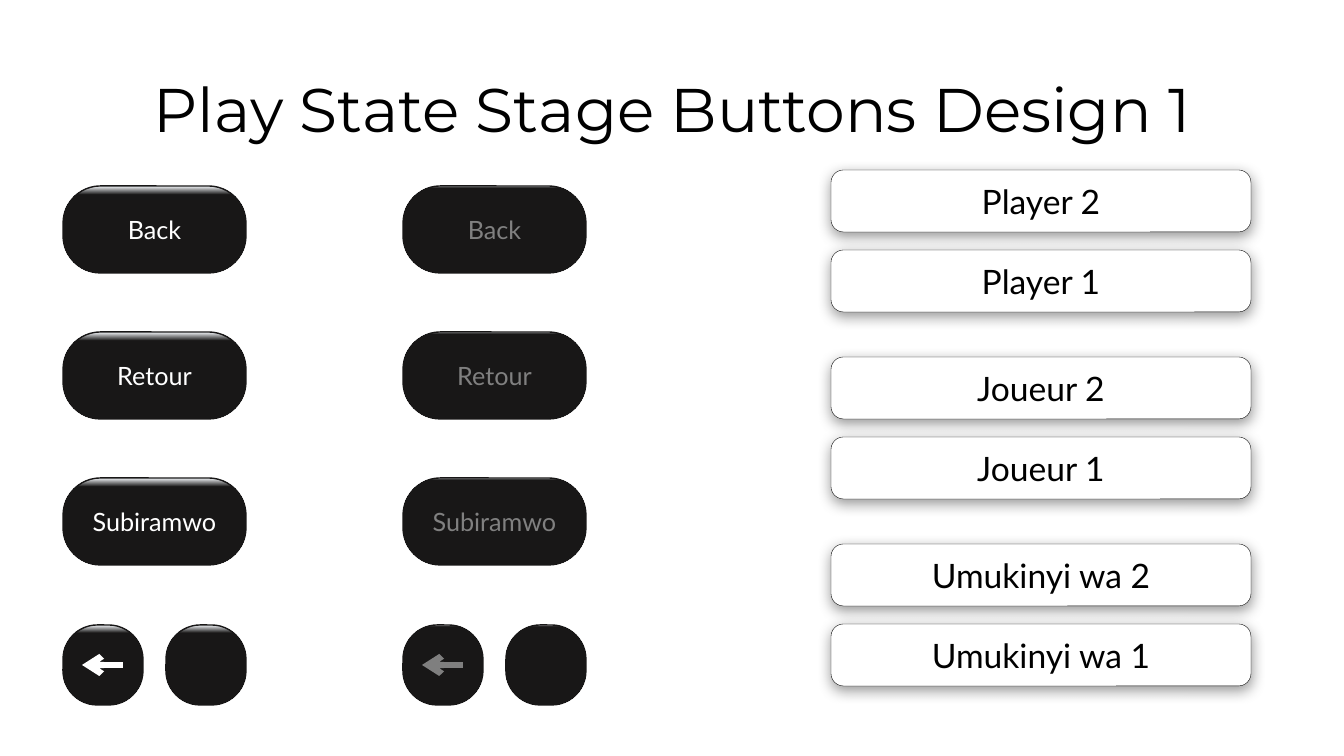
from pptx import Presentation
from pptx.dml.color import RGBColor
from pptx.enum.shapes import MSO_CONNECTOR, MSO_SHAPE
from pptx.enum.text import MSO_ANCHOR, PP_ALIGN
from pptx.oxml import parse_xml
from pptx.oxml.ns import nsdecls, qn
from pptx.util import Inches, Pt

ROUNDED = MSO_SHAPE.ROUNDED_RECTANGLE
STRAIGHT = MSO_CONNECTOR.STRAIGHT
MIDDLE = MSO_ANCHOR.MIDDLE
CENTER = PP_ALIGN.CENTER

EMU_PER_PX = Inches(1) / 100.8
TITLE_ONLY = 5
BLACK, WHITE, GREY = "000000", "FFFFFF", "808080"
INK, GLOSS = "181717", "F7FAFD"

# left edge, depth of the gloss, label colour, arrow colour
BUTTON_STATES = [(63, 0.10, WHITE, WHITE), (403, 0.02, GREY, "7F7F7F")]
BACK_LABELS = ["Back", "Retour", "Subiramwo"]
PLAYER_WORDS = ["Player", "Joueur", "Umukinyi wa"]
BUTTON_TOP, BUTTON_PITCH, BUTTON_SIZE = 186, 146, (183, 87)
ICON_TOP, ICON_SIDE, ICON_PITCH = 625, 80, 103
PLAYER_LEFT, PLAYER_TOP, PLAYER_SIZE = 831, 170, (424 - 4, 62)
PLAYER_GROUP_PITCH, PLAYER_PITCH = 187, 80


def px(length):
    """Turn pixels into EMU."""
    return round(length * EMU_PER_PX)


def rgb(value):
    """Turn a hex string into a colour."""
    return RGBColor.from_string(value)


def write(frame, text, size, color, font="Lato"):
    """Write one centred line in the middle of a text frame."""
    frame.word_wrap = True
    frame.vertical_anchor = MIDDLE
    paragraph = frame.paragraphs[0]
    paragraph.alignment = CENTER
    run = paragraph.add_run()
    run.text = text
    run.font.size = Pt(size)
    run.font.name = font
    run.font.color.rgb = rgb(color)
    return paragraph


def add_title(slide, text):
    """Place and fill the title placeholder."""
    title = slide.shapes.title
    title.left, title.top, title.width, title.height = map(px, (93, 40, 1159, 146))
    write(title.text_frame, text, 44, BLACK, "Montserrat").line_spacing = 0.9


def add_rounded(slide, left, top, size, rounding, outline, weight):
    """Add an outlined rounded rectangle without a shadow."""
    button = slide.shapes.add_shape(ROUNDED, *map(px, (left, top, *size)))
    button.adjustments[0] = rounding
    button.line.color.rgb = rgb(outline)
    button.line.width = Pt(weight)
    button.shadow.inherit = False
    return button


def add_glossy_button(slide, left, top, size, gloss_depth):
    """Add a dark button with a bright upper edge."""
    button = add_rounded(slide, left, top, size, 0.43, INK, 1)
    button.fill.gradient()
    button.fill.gradient_angle = 270
    stops = button.fill.gradient_stops
    for stop, position, color in zip(stops, (0, gloss_depth), (GLOSS, INK)):
        stop.position = position
        stop.color.rgb = rgb(color)
    return button


def add_player_button(slide, top, label):
    """Add a white player button with a soft shadow below."""
    button = add_rounded(slide, PLAYER_LEFT, top, PLAYER_SIZE, 0.2, BLACK, 0.25)
    button.fill.solid()
    button.fill.fore_color.rgb = rgb(WHITE)
    button.element.spPr.find(qn("a:effectLst")).append(parse_xml(
        f'<a:outerShdw {nsdecls("a")} blurRad="{Pt(10)}" dist="{Pt(3)}" '
        f'dir="5400000" algn="t" rotWithShape="0"><a:srgbClr val="{BLACK}">'
        '<a:alpha val="40000"/></a:srgbClr></a:outerShdw>'))
    write(button.text_frame, label, 24, BLACK)


def add_back_arrow(slide, left, middle, length, color):
    """Add a thick arrow that points left."""
    arrow = slide.shapes.add_connector(
        STRAIGHT, *map(px, (left, middle, left + length, middle)))
    arrow.line.color.rgb = rgb(color)
    arrow.line.width = Pt(4.5)
    properties = arrow.element.spPr
    properties.find(qn("a:ln")).append(
        parse_xml(f'<a:headEnd {nsdecls("a")} type="arrow"/>'))
    properties.append(parse_xml(f'<a:effectLst {nsdecls("a")}/>'))


def add_back_buttons(slide, left, gloss_depth, label_color, arrow_color):
    """Add one column of back buttons and its two icon buttons."""
    for row, label in enumerate(BACK_LABELS):
        top = BUTTON_TOP + row * BUTTON_PITCH
        button = add_glossy_button(slide, left, top, BUTTON_SIZE, gloss_depth)
        write(button.text_frame, label, 18, label_color)
    for column in range(2):
        add_glossy_button(slide, left + column * ICON_PITCH, ICON_TOP,
                          (ICON_SIDE, ICON_SIDE), gloss_depth)
    add_back_arrow(slide, left + 19, ICON_TOP + ICON_SIDE // 2, 41, arrow_color)


def main():
    """Build the slide and save it."""
    deck = Presentation()
    deck.slide_width, deck.slide_height = px(1344), px(756)
    slide = deck.slides.add_slide(deck.slide_layouts[TITLE_ONLY])
    add_title(slide, "Play State Stage Buttons Design 1")
    for state in BUTTON_STATES:
        add_back_buttons(slide, *state)
    for group, word in enumerate(PLAYER_WORDS):
        for row, number in enumerate((2, 1)):
            top = PLAYER_TOP + group * PLAYER_GROUP_PITCH + row * PLAYER_PITCH
            add_player_button(slide, top, f"{word} {number}")
    deck.save("out.pptx")


main()
